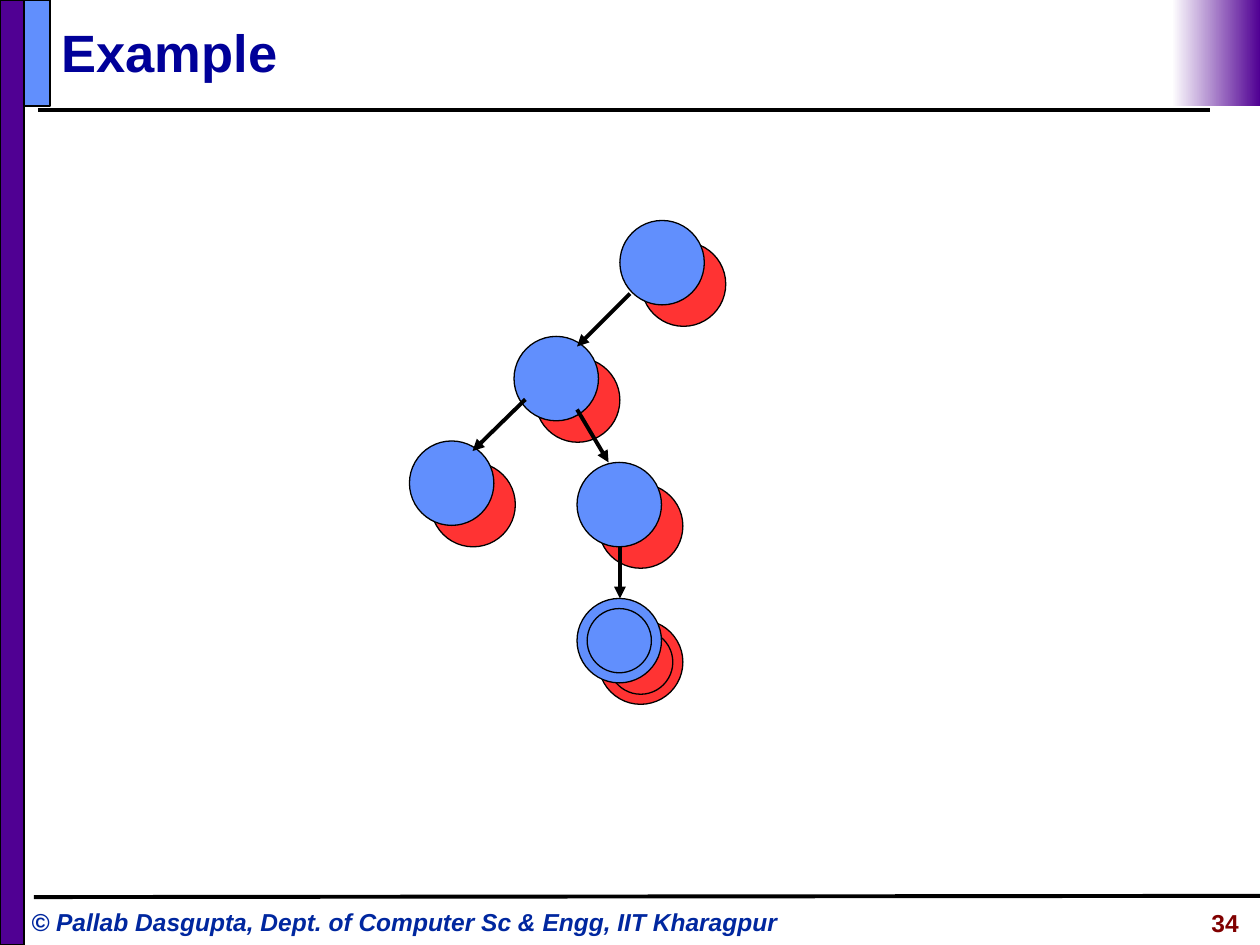
"""Build the tree example slide with python-pptx."""
from dataclasses import dataclass

from lxml.etree import SubElement
from pptx import Presentation
from pptx.dml.color import RGBColor as RGB
from pptx.enum.shapes import MSO_CONNECTOR as CONN, MSO_SHAPE as SHAPE
from pptx.enum.text import MSO_ANCHOR as ANCHOR, PP_ALIGN as ALIGN
from pptx.oxml.ns import qn
from pptx.util import Inches, Pt


@dataclass(frozen=True)
class Theme:
    font: str = "Arial"
    title_size: int = 30
    footer_size: int = 14
    black: str = "000000"
    white: str = "FFFFFF"
    purple: str = "500093"
    blue: str = "618FFD"
    red: str = "FF3333"
    title: str = "000099"
    footer: str = "00279F"
    number: str = "800000"
    rule: float = 2.25
    bar_line: float = 1
    node_line: float = 0.75


THEME = Theme()
DIAMETER, INSET, OFFSET = 0.67, 0.08, 0.17
NODES = [(3.25, 3.5), (4.08, 2.67), (4.58, 3.67), (4.92, 1.75)]
GOAL = (4.58, 4.75)
EDGES = [
    ((5, 2.33), (4.58, 2.75)),
    ((4.17, 3.17), (3.75, 3.58)),
    ((4.58, 3.25), (4.83, 3.67)),
    ((4.92, 4.33), (4.92, 4.75)),
]


def add_shape(shapes, kind, box, color, width):
    sp = shapes.add_shape(kind, *map(Inches, box))
    sp.shadow.inherit = False
    sp.fill.solid()
    sp.fill.fore_color.rgb = RGB.from_string(color)
    sp.line.color.rgb = RGB.from_string(THEME.black)
    sp.line.width = Pt(width)
    return sp


def add_fade(s, box):
    sp = add_shape(s.shapes, SHAPE.RECTANGLE, box, THEME.purple, THEME.bar_line)
    sp.line.fill.background()
    sp.fill.gradient()
    sp.fill.gradient_angle = 180
    for stop, color in zip(sp.fill.gradient_stops, (THEME.purple, THEME.white)):
        stop.color.rgb = RGB.from_string(color)


def add_line(s, start, end, arrow=False):
    line = s.shapes.add_connector(CONN.STRAIGHT, *map(Inches, start + end))
    line.line.color.rgb = RGB.from_string(THEME.black)
    line.line.width = Pt(THEME.rule)
    if arrow:
        SubElement(line.line._get_or_add_ln(), qn("a:tailEnd"), type="triangle")
    SubElement(line._element.spPr, qn("a:effectLst"))


def add_text(s, box, text, size, color, italic=False, align=ALIGN.LEFT, anchor=ANCHOR.TOP):
    tf = s.shapes.add_textbox(*map(Inches, box)).text_frame
    tf.word_wrap = True
    tf.vertical_anchor = anchor
    tf.text = text
    p = tf.paragraphs[0]
    p.alignment = align
    font = p.runs[0].font
    font.name, font.size = THEME.font, Pt(size)
    font.bold, font.italic = True, italic
    font.color.rgb = RGB.from_string(color)


def add_node(s, left, top, goal=False):
    group = s.shapes.add_group_shape()
    for shift, color in ((OFFSET, THEME.red), (0, THEME.blue)):
        for inset in (0, INSET) if goal else (0,):
            size = DIAMETER - 2 * inset
            box = (left + shift + inset, top + shift + inset, size, size)
            add_shape(group.shapes, SHAPE.OVAL, box, color, THEME.node_line)


def add_frame(s):
    add_line(s, (0.3, 0.87), (9.6, 0.87))
    add_text(s, (0.15, 7.15, 6.37, 0.34),
             "© Pallab Dasgupta, Dept. of Computer Sc & Engg, IIT Kharagpur",
             THEME.footer_size, THEME.footer, italic=True)
    add_shape(s.shapes, SHAPE.RECTANGLE, (0, 0, 0.19, 7.5), THEME.purple, THEME.bar_line)
    add_line(s, (0.27, 7.12), (10, 7.11))
    add_shape(s.shapes, SHAPE.RECTANGLE, (0.19, 0, 0.21, 0.84), THEME.blue, THEME.bar_line)
    add_fade(s, (9.3, 0, 0.7, 0.84))


def main():
    prs = Presentation()
    prs.slide_width, prs.slide_height = Inches(10), Inches(7.5)
    s = prs.slides.add_slide(prs.slide_layouts[6])
    add_frame(s)
    add_text(s, (0.39, 0.1, 9.1, 0.61), "Example", THEME.title_size, THEME.title,
             anchor=ANCHOR.MIDDLE)
    for node in NODES:
        add_node(s, *node)
    for start, end in EDGES:
        add_line(s, start, end, arrow=True)
    add_node(s, *GOAL, goal=True)
    add_text(s, (8.18, 7.16, 1.75, 0.35), "34", THEME.footer_size, THEME.number,
             align=ALIGN.RIGHT)
    prs.save("out.pptx")


if __name__ == "__main__":
    main()
